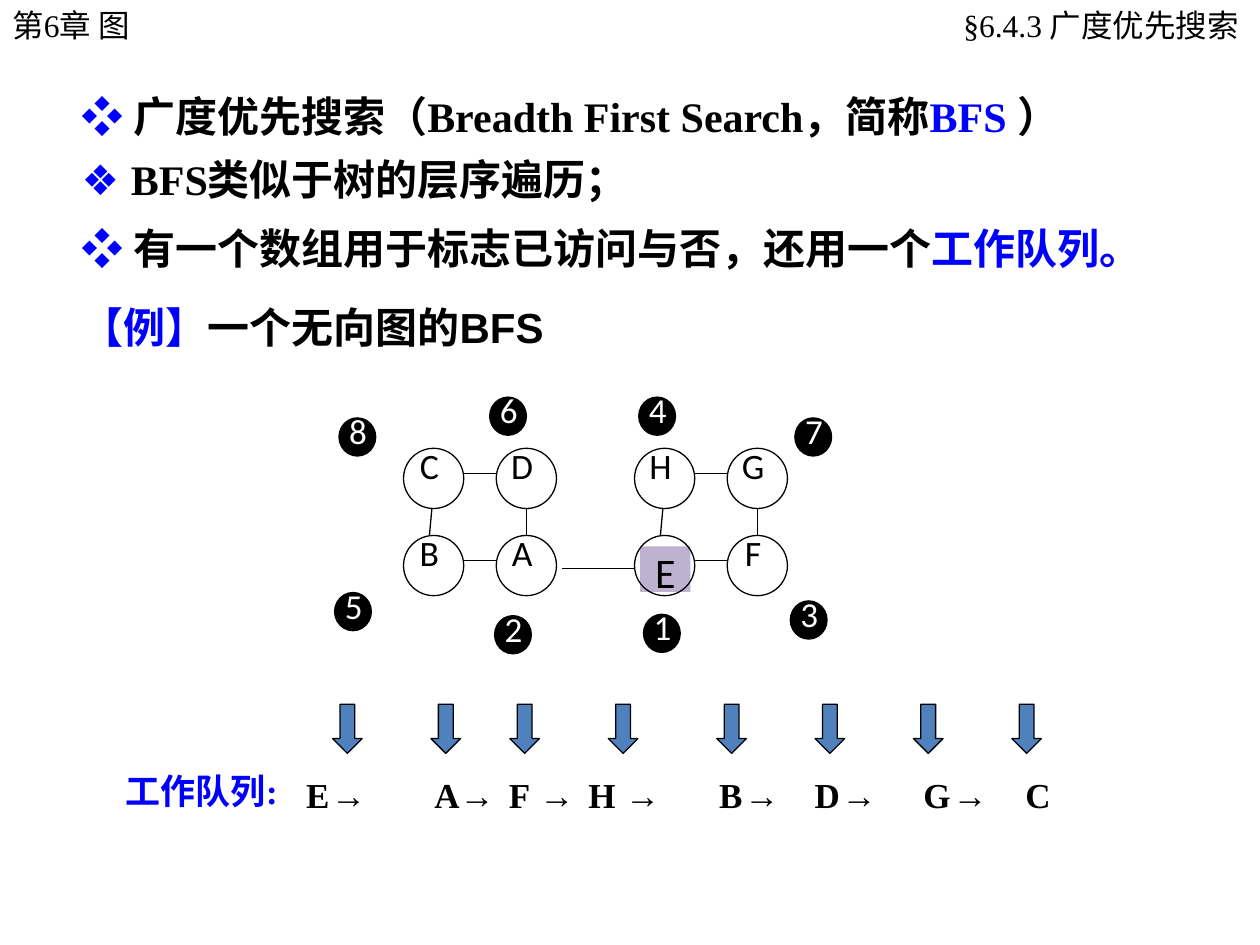
from dataclasses import dataclass

from lxml.etree import SubElement
from pptx import Presentation
from pptx.dml.color import RGBColor as RGB
from pptx.enum.shapes import MSO_CONNECTOR as Link, MSO_SHAPE as Kind
from pptx.enum.text import MSO_ANCHOR as Anchor, MSO_AUTO_SIZE as Fit, PP_ALIGN as Align
from pptx.oxml.ns import qn
from pptx.util import Pt


@dataclass(frozen=True)
class Theme:
    ink: str = "000000"
    paper: str = "FFFFFF"
    blue: str = "0000FF"
    arrow: str = "4F81BD"
    start: str = "BFB2D0"
    serif: str = "Times New Roman"
    sans: str = "Arial"
    label: str = "Calibri"
    mono: str = "Courier New"
    head: float = 18
    body: float = 24
    queue: float = 20
    node: float = 20.4
    line: float = 0.75


T = Theme()
PAD = (7.2, 3.6, 7.2, 3.6)
NODE = 34.4
COL, ROW = 53, 49.8
TOP = 256.2


def write(box, *runs, font=T.serif, size=T.body, color=T.ink, bold=False,
          align=Align.LEFT, pad=PAD, fit=Fit.SHAPE_TO_FIT_TEXT, wrap=True,
          anchor=Anchor.TOP, lead=None, tabs=()):
    """Fill a box with runs; a run is a string or (string, format changes)."""
    frame = box.text_frame
    frame.word_wrap, frame.auto_size, frame.vertical_anchor = wrap, fit, anchor
    (frame.margin_left, frame.margin_top,
     frame.margin_right, frame.margin_bottom) = map(Pt, pad)
    para = frame.paragraphs[0]
    para.alignment = align
    if lead:
        para.line_spacing = lead
    if tabs:
        stops = SubElement(para._p.get_or_add_pPr(), qn("a:tabLst"))
        for pos in tabs:
            SubElement(stops, qn("a:tab"), pos=str(Pt(pos)), algn="l")
    for item in runs:
        words, extra = (item, {}) if isinstance(item, str) else item
        form = {"font": font, "color": color} | extra
        run = para.add_run()
        run.text = words
        run.font.name, run.font.size, run.font.bold = form["font"], Pt(size), bold
        run.font.color.rgb = RGB.from_string(form["color"])


def text(slide, at, *runs, fill=None, **form):
    box = slide.shapes.add_textbox(*map(Pt, at))
    if fill:
        box.fill.solid()
        box.fill.fore_color.rgb = RGB.from_string(fill)
    write(box, *runs, **form)


def shape(slide, kind, at, fill=None):
    item = slide.shapes.add_shape(kind, *map(Pt, at))
    item.shadow.inherit = False
    if fill:
        item.fill.solid()
        item.fill.fore_color.rgb = RGB.from_string(fill)
    else:
        item.fill.background()
    item.line.color.rgb = RGB.from_string(T.ink)
    item.line.width = Pt(T.line)


def edge(slide, *ends):
    item = slide.shapes.add_connector(Link.STRAIGHT, *map(Pt, ends))
    item.line.color.rgb = RGB.from_string(T.ink)
    item.line.width = Pt(T.line)
    SubElement(item._element.spPr, qn("a:effectLst"))


def node(slide, name, x, y):
    form = dict(font=T.label, align=Align.CENTER, pad=(0,) * 4, fit=Fit.NONE)
    if name == "E":
        text(slide, (x + 3.2, y + 6.3, 28.8, 25.9), name, fill=T.start, **form)
    else:
        text(slide, (x, y, 29.5, 25.9), name, fill=T.paper, size=T.node,
             lead=0.9, **form)
    shape(slide, Kind.OVAL, (x, y, NODE, NODE))


def square(slide, names, x):
    """Draw four nodes, row by row, and the four edges between them."""
    for i, name in enumerate(names):
        node(slide, name, x + i % 2 * COL, TOP + i // 2 * ROW)
    for y in (TOP + 14.5, TOP + ROW + 14.5):
        edge(slide, x + NODE, y, x + COL, y)
    edge(slide, x + 16.2, TOP + NODE, x + 14.8, TOP + ROW)
    edge(slide, x + 70.2, TOP + NODE, x + 70.2, TOP + ROW)


def badge(slide, num, x, y):
    shape(slide, Kind.OVAL, (x, y, 21, 21.8), T.ink)
    text(slide, (x + 5.8, y - 4.8, 18, 26.6), str(num), font=T.label,
         size=T.queue, color=T.paper, pad=(0,) * 4, fit=Fit.NONE)


def header(slide):
    title = slide.shapes.title
    title.left, title.top, title.width, title.height = map(Pt, (484, 0, 235.5, 29))
    write(title, "§6.4.3 广度优先搜索", size=T.head, align=Align.RIGHT,
          pad=(8.6, 3.6, 11.5, 3.6))
    text(slide, (0, 0, 125.5, 29), "第6章 图", size=T.head)


def points(slide):
    blue = {"color": T.blue}
    mark = ("❖ ", blue | {"font": T.sans})
    lines = (
        (48.2, 630, ("广度优先搜索（Breadth First Search，简称", ("BFS ", blue), "）")),
        (84.2, 534, ("BFS类似于树的层序遍历；",)),
        (123.8, 630, ("有一个数组用于标志已访问与否，还用一个", ("工作队列。", blue))),
    )
    for y, width, runs in lines:
        text(slide, (39.6, y, width, 36), mark, *runs, bold=True)
    text(slide, (39.6, 168.5, 366, 36), ("【例】", blue), "一个无向图的BFS",
         font=T.sans, bold=True)


def graph(slide):
    square(slide, "CDBA", 230.6)
    square(slide, "HGEF", 362.6)
    edge(slide, 321.1, 324.7, 362.6, 324.7)
    spots = ((367.7, 351), (282.6, 351.8), (451.6, 343.4), (365, 226.9),
             (191.2, 338.6), (279.8, 226.9), (454.2, 238.8), (193.7, 238.8))
    for num, spot in enumerate(spots, 1):
        badge(slide, num, *spot)


def queue(slide):
    for x in (190.1, 246.3, 291.4, 347.6, 409.6, 465.8, 522, 578.2):
        shape(slide, Kind.DOWN_ARROW, (x, 402.4, 16.9, 28.1), T.arrow)
    form = dict(size=T.queue, bold=True)
    text(slide, (64.8, 436.3, 106, 31.7), "工作队列:", color=T.blue,
         wrap=False, **form)
    arrow = ("→", {"font": T.mono})
    parts = (
        (167.8, 78.5, ("E ", arrow), ()),
        (241.2, 163.4, ("A ", arrow, "\tF\t", arrow, "\tH\t", arrow),
         (42.5, 64, 88, 113)),
        (403.9, 118, ("B ", arrow, "\tD ", arrow), (54.5,)),
        (520.6, 46.8, ("G ", arrow), ()),
        (578.9, 28.8, ("C",), ()),
    )
    for x, width, runs, tabs in parts:
        text(slide, (x, 438.5, width, 31.7), *runs, tabs=tabs, **form)


def main():
    deck = Presentation()
    deck.slide_width, deck.slide_height = Pt(720), Pt(540)
    slide = deck.slides.add_slide(deck.slide_layouts[5])
    header(slide)
    points(slide)
    graph(slide)
    queue(slide)
    deck.save("out.pptx")


if __name__ == "__main__":
    main()
